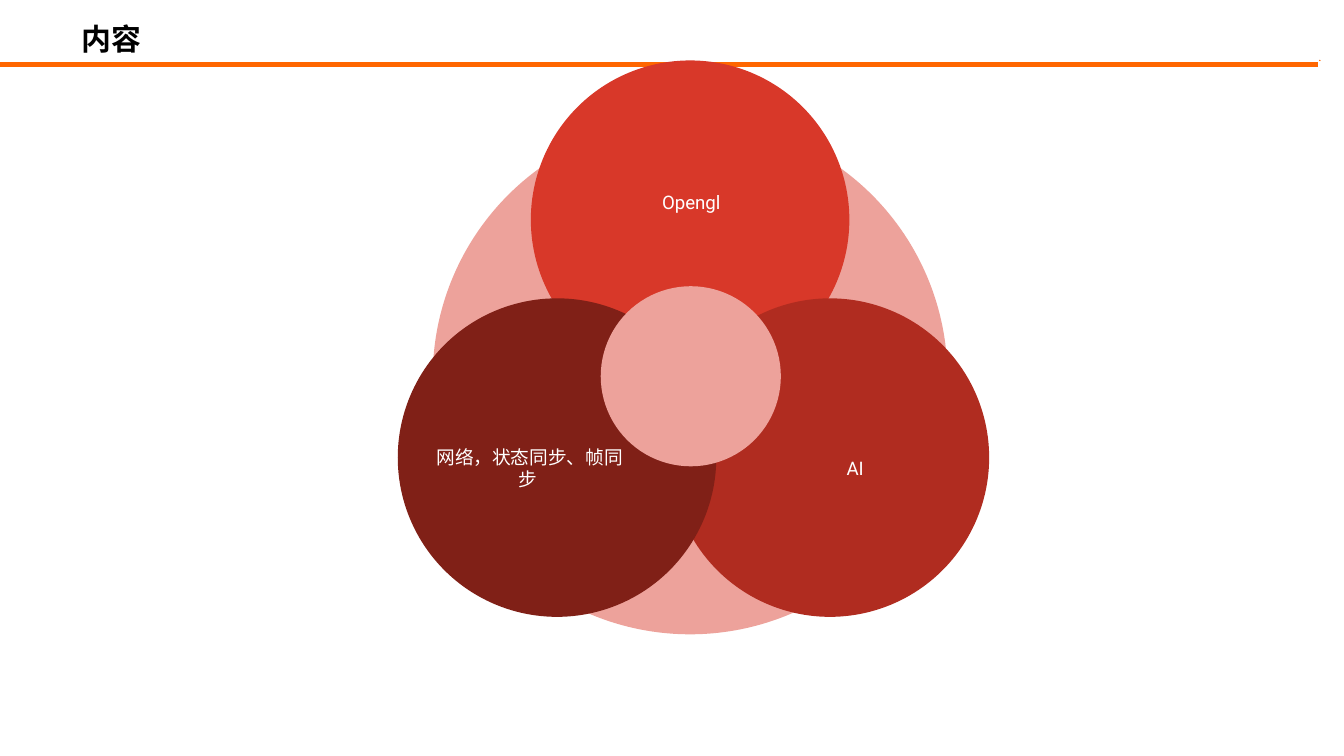
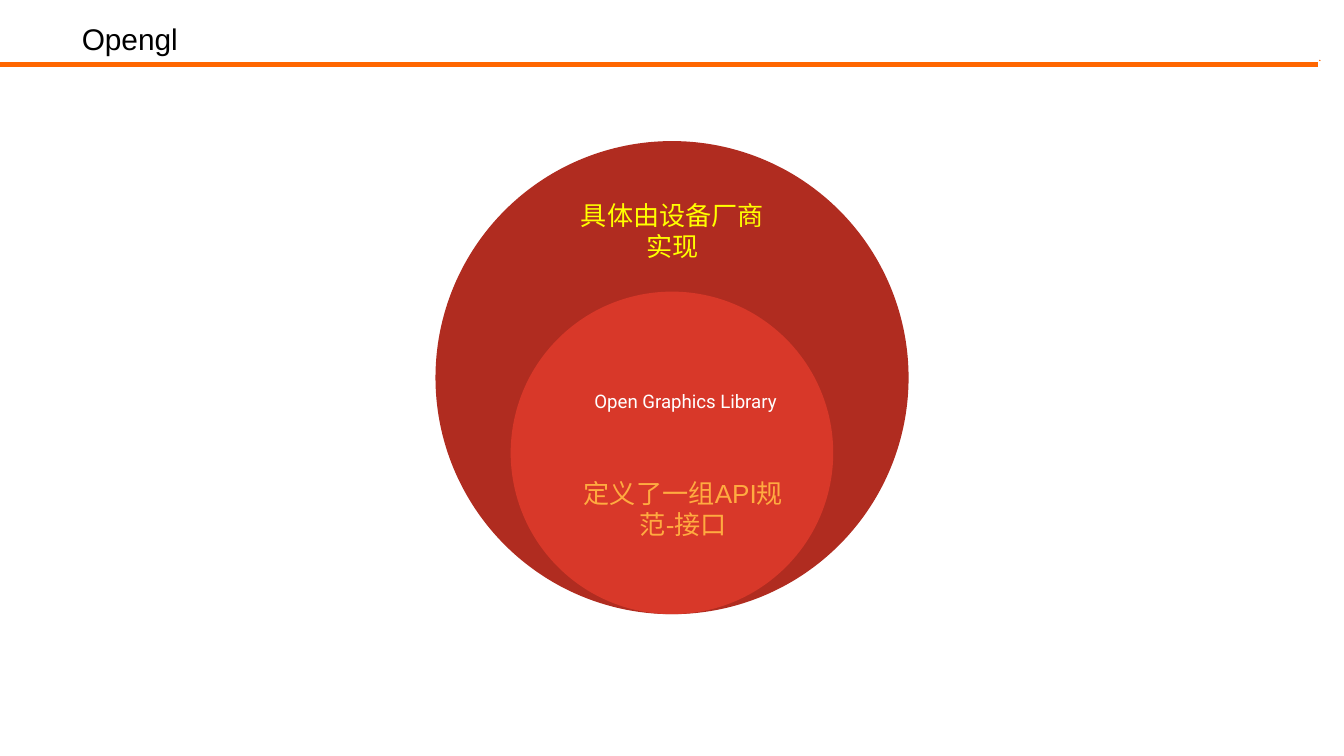
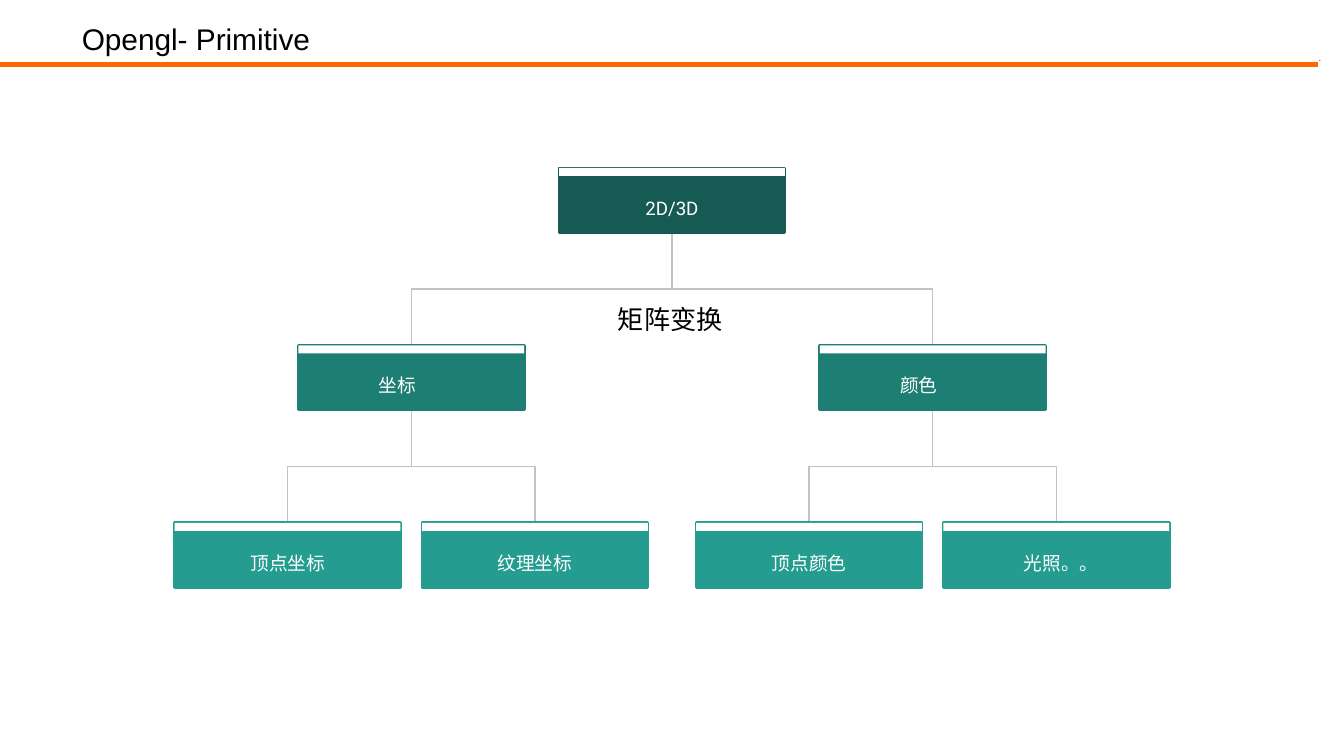
from dataclasses import dataclass

from lxml import etree
from pptx import Presentation
from pptx import util as u
from pptx.dml.color import RGBColor
from pptx.enum import shapes, text
from pptx.oxml.ns import qn
from pptx.shapes.autoshape import Shape
from pptx.shapes.connector import Connector
from pptx.slide import Slide

ORANGE, GREY, WHITE, BLACK = "FF6600", "C2C2C2", "FFFFFF", "000000"
PINK, RED, BRICK, MAROON = "EDA29B", "D83829", "B02C20", "802017"
YELLOW, AMBER = "FFFF00", "FFAB40"
LEVELS = ("155B54", "1D7E74", "249C90")

OVAL, RECT = shapes.MSO_SHAPE.OVAL, shapes.MSO_SHAPE.RECTANGLE
LINE, ELBOW = shapes.MSO_CONNECTOR.STRAIGHT, shapes.MSO_CONNECTOR.ELBOW
TOP, MID, LOW = (text.MSO_ANCHOR.TOP, text.MSO_ANCHOR.MIDDLE,
                 text.MSO_ANCHOR.BOTTOM)
LEFT, CENTER = text.PP_ALIGN.LEFT, text.PP_ALIGN.CENTER

WIDE = 10
NODE_W, NODE_H, STRIP_H = 1.68, 0.48, 0.06
ROOT_X, ROOT_Y, STEP = 5, 1.25, 1.32
SPREAD = (1.94, 0.92)


@dataclass
class Box:
    left: float
    top: float
    width: float
    height: float


@dataclass
class Style:
    size: float = 10
    font: str = "Roboto"
    color: str = WHITE
    bold: bool = False
    align: text.PP_ALIGN = CENTER
    anchor: text.MSO_ANCHOR = MID


@dataclass
class Disc:
    left: float
    top: float
    size: float
    color: str


@dataclass
class Label:
    box: Box
    words: str
    style: Style


@dataclass
class Node:
    words: str
    kids: tuple["Node", ...] = ()
    indent: float = 0


TITLE = Style(16, "Arial", BLACK, align=LEFT, anchor=LOW)
HEAD = Style(16, "Arial", BLACK, True, LEFT, LOW)
PLAIN = Style()

TOPICS = (
    Disc(3.22, 0.89, 3.83, PINK),
    Disc(3.95, 0.45, 2.37, RED),
    Disc(4.99, 2.22, 2.37, BRICK),
    Disc(2.96, 2.22, 2.37, MAROON),
    Disc(4.47, 2.13, 1.34, PINK),
)
TOPIC_TEXT = (
    Label(Box(4.34, 1.12, 1.64, 0.77), "Opengl ", PLAIN),
    Label(Box(5.56, 3.1, 1.64, 0.77), "AI ", PLAIN),
    Label(Box(3.12, 3.1, 1.64, 0.77), "网络，状态同步、帧同步 ", PLAIN),
)
LAYERS = (Disc(3.24, 1.05, 3.52, BRICK), Disc(3.8, 2.17, 2.4, RED))
LAYER_TEXT = (
    Label(Box(4.14, 1.31, 1.73, 0.81), "具体由设备厂商实现",
          Style(14, color=YELLOW)),
    Label(Box(4.29, 2.69, 1.62, 0.58), "Open Graphics Library", PLAIN),
    Label(Box(4.23, 3.45, 1.71, 0.73), "定义了一组API规范-接口",
          Style(14, "Arial", AMBER, anchor=TOP)),
)
TREE = Node("2D/3D", (
    Node("坐标", (Node("顶点坐标"), Node("纹理坐标")), 0.5),
    Node("颜色", (Node("顶点颜色"), Node("光照。。", indent=0.5)), 0.5),
))
MATRIX = Label(Box(4.5, 2.16, 1.04, 0.32), "矩阵变换",
               Style(14, "Arial", BLACK, align=LEFT, anchor=TOP))


def rgb(color: str) -> RGBColor:
    return RGBColor.from_string(color)


def inches(box: Box) -> tuple[u.Length, ...]:
    return tuple(u.Inches(v) for v in
                 (box.left, box.top, box.width, box.height))


def write(shape: Shape, words: str, style: Style) -> None:
    frame = shape.text_frame
    frame.word_wrap = True
    frame.vertical_anchor = style.anchor
    frame.margin_left = frame.margin_right = u.Inches(0.1)
    frame.margin_top = frame.margin_bottom = u.Inches(0.1)
    frame.text = words
    para = frame.paragraphs[0]
    para.alignment = style.align
    font = para.runs[0].font
    font.size, font.name, font.bold = u.Pt(style.size), style.font, style.bold
    font.color.rgb = rgb(style.color)


def add_label(slide: Slide, label: Label) -> Shape:
    shape = slide.shapes.add_textbox(*inches(label.box))
    write(shape, label.words, label.style)
    return shape


def add_solid(slide: Slide, kind: shapes.MSO_SHAPE, box: Box, color: str,
              edge: float = 0) -> Shape:
    """Add a filled shape; edge is the width in points of a same-colour line."""
    shape = slide.shapes.add_shape(kind, *inches(box))
    shape.shadow.inherit = False
    shape.fill.solid()
    shape.fill.fore_color.rgb = rgb(color)
    if edge:
        shape.line.color.rgb = rgb(color)
        shape.line.width = u.Pt(edge)
    else:
        shape.line.fill.background()
    return shape


def ink(line: Connector, color: str, width: float) -> None:
    line.line.color.rgb = rgb(color)
    line.line.width = u.Pt(width)
    etree.SubElement(line._element.spPr, qn("a:effectLst"))


def add_slide(deck: Presentation, title: str, style: Style = TITLE) -> Slide:
    slide = deck.slides.add_slide(deck.slide_layouts[6])
    rule = slide.shapes.add_connector(
        LINE, 0, u.Inches(0.48), u.Inches(9.81), u.Inches(0.48))
    ink(rule, ORANGE, 3)
    add_solid(slide, OVAL, Box(9.82, 0.45, 0, 0), ORANGE, 0.75)
    head = add_label(slide, Label(Box(0.51, 0.14, 8.99, 0.38), title, style))
    head.text_frame.paragraphs[0].line_spacing = 0.9
    return slide


def add_discs(slide: Slide, discs: tuple[Disc, ...],
              labels: tuple[Label, ...]) -> None:
    for disc in discs:
        box = Box(disc.left, disc.top, disc.size, disc.size)
        add_solid(slide, OVAL, box, disc.color)
    for label in labels:
        add_label(slide, label)


def link(slide: Slide, top: Shape, low: Shape) -> None:
    """Join two nodes, from behind, by an elbow with vertical ends."""
    line = slide.shapes.add_connector(ELBOW, 0, 0, 0, 0)
    right = low.left > top.left
    if right:
        line.begin_connect(top, 2)
        line.end_connect(low, 0)
    else:
        line.begin_connect(low, 0)
        line.end_connect(top, 2)
    start = top.top + top.height
    drop, shift = low.top - start, abs(low.left - top.left)
    mid_x = (top.left + low.left + top.width) // 2
    mid_y = start + drop // 2
    line.left, line.top = mid_x - drop // 2, mid_y - shift // 2
    line.width, line.height = drop, shift
    frame = line._element.spPr.find(qn("a:xfrm"))
    frame.set("rot", str(270 * 60000))
    frame.set("flipH", str(int(right)))
    frame.set("flipV", "0")
    ink(line, GREY, 0.75)
    top._element.addprevious(line._element)


def add_tree(slide: Slide, node: Node, mid: float, level: int = 0) -> Shape:
    """Draw a node centred on mid, then its children below it."""
    left, top = mid - NODE_W / 2, ROOT_Y + level * STEP
    card = add_solid(slide, RECT, Box(left, top, NODE_W, NODE_H),
                     LEVELS[level], 1.5)
    align = LEFT if node.indent else CENTER
    write(card, node.words, Style(align=align, anchor=LOW))
    if node.indent:
        props = card.text_frame.paragraphs[0]._p.get_or_add_pPr()
        props.set("marL", "0")
        props.set("indent", str(u.Inches(node.indent)))
    add_solid(slide, RECT, Box(left, top, NODE_W, STRIP_H), WHITE)
    for side, kid in zip((-1, 1), node.kids):
        low = add_tree(slide, kid, mid + side * SPREAD[level], level + 1)
        link(slide, card, low)
    return card


def main() -> None:
    deck = Presentation()
    deck.slide_width = u.Inches(WIDE)
    deck.slide_height = u.Inches(WIDE * 9 / 16)
    add_discs(add_slide(deck, "内容", HEAD), TOPICS, TOPIC_TEXT)
    add_discs(add_slide(deck, "Opengl"), LAYERS, LAYER_TEXT)
    slide = add_slide(deck, "Opengl- Primitive")
    add_tree(slide, TREE, ROOT_X)
    add_label(slide, MATRIX)
    deck.save("out.pptx")


if __name__ == "__main__":
    main()
